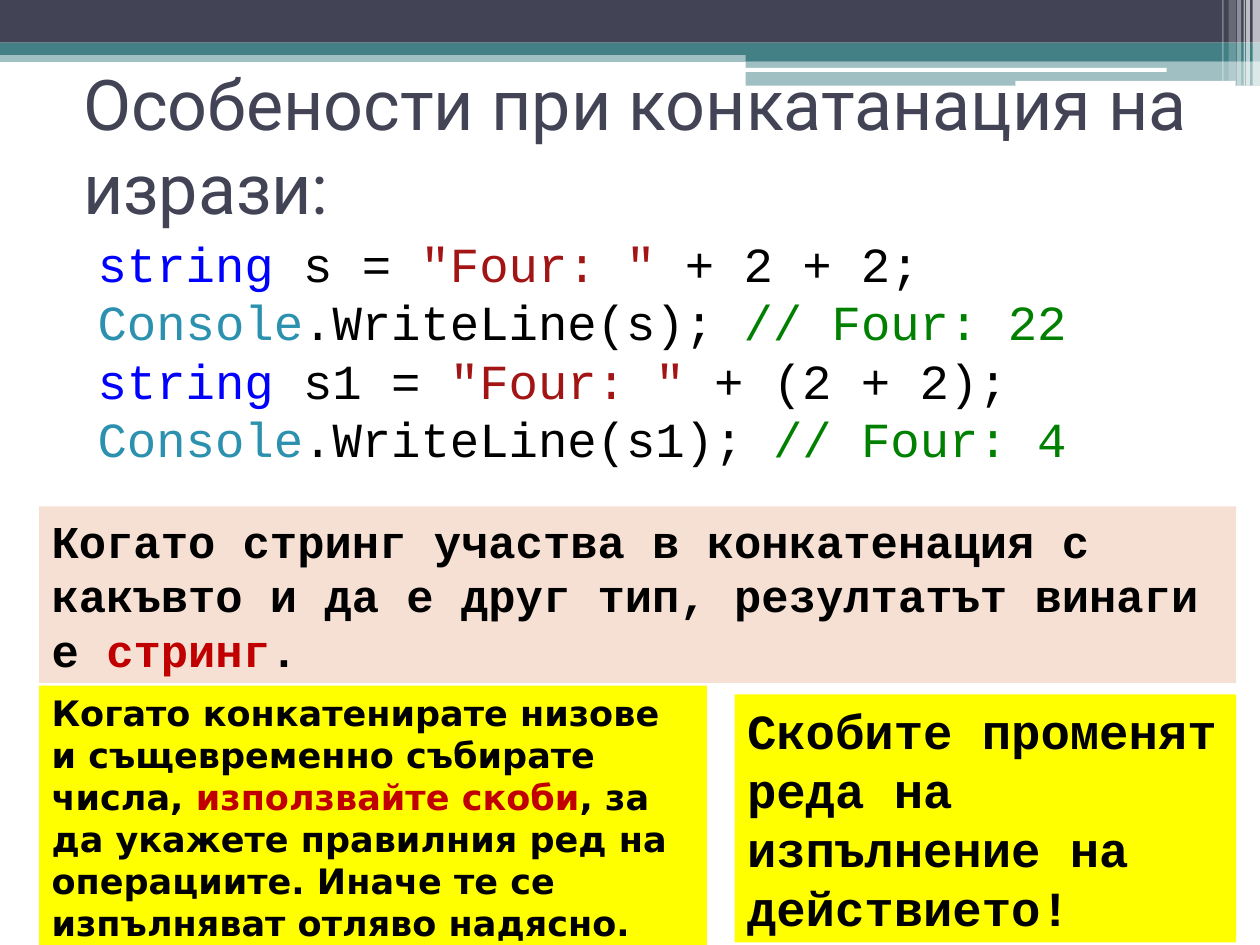
from lxml.etree import SubElement
from pptx import Presentation
from pptx.dml.color import RGBColor
from pptx.enum.shapes import MSO_SHAPE as Shape
from pptx.enum.text import MSO_ANCHOR as Anchor, MSO_AUTO_SIZE as AutoSize, PP_ALIGN as Align
from pptx.oxml.ns import qn
from pptx.util import Cm, Pt

COLORS = {
    "navy": "424456", "teal": "438086", "white": "FFFFFF", "black": "000000",
    "keyword": "0000FF", "literal": "A31515", "type": "2B91AF", "comment": "008000",
    "peach": "F5E0D3", "yellow": "FFFF00", "red": "C00000",
}
MONO = "Courier New"
TITLE_FONT = {"name": "Roboto", "size": Pt(40), "bold": False}
CODE_FONT = {"name": MONO, "size": Pt(28), "bold": False}
CODE_PARAGRAPH = {"alignment": Align.LEFT, "line_spacing": 0.9}
FRAME = {"word_wrap": True, "auto_size": AutoSize.NONE, "vertical_anchor": Anchor.TOP}

CODE = [
    [("string", "keyword"), (" s = ", "black"), ('"Four: "', "literal"), (" + 2 + 2;", "black")],
    [("Console", "type"), (".WriteLine(s); ", "black"), ("// Four: 22", "comment")],
    [("string", "keyword"), (" s1 = ", "black"), ('"Four: "', "literal"), (" + (2 + 2);", "black")],
    [("Console", "type"), (".WriteLine(s1); ", "black"), ("// Four: 4", "comment")],
]
NOTES = [
    ((0.79, 10.21, 24.13, 3.56), "peach", MONO, 26, [
        ("Когато стринг участва в конкатенация с какъвто и да е друг тип, резултатът винаги е ", "black"),
        ("стринг", "red"), (".", "black")]),
    ((14.81, 14, 10.11, 5), "yellow", MONO, 28, [
        ("Скобите променят реда на изпълнение на действието!", "black")]),
    ((0.79, 13.82, 13.46, 5.33), "yellow", "DejaVu Sans", 20, [
        ("Когато конкатенирате низове и същевременно събирате числа, ", "black"),
        ("използвайте скоби", "red"),
        (", за да укажете правилния ред на операциите. Иначе те се изпълняват отляво надясно.", "black")]),
]


def apply_format(target, values):
    for name, value in values.items():
        setattr(target, name, value)


def place(shape, box):
    apply_format(shape, dict(zip(("left", "top", "width", "height"), map(Cm, box))))


def write_runs(paragraph, runs, font):
    for text, color in runs:
        run = paragraph.add_run()
        run.text = text
        apply_format(run.font, font)
        run.font.color.rgb = RGBColor.from_string(COLORS[color])


def add_block(slide, box, color, opacity=100, kind=Shape.RECTANGLE):
    shape = slide.shapes.add_shape(kind, *map(Cm, box))
    shape.shadow.inherit = False
    shape.fill.solid()
    shape.fill.fore_color.rgb = RGBColor.from_string(COLORS[color])
    shape.line.fill.background()
    if opacity < 100:
        hex_color = shape.element.spPr.find(qn("a:solidFill")).find(qn("a:srgbClr"))
        SubElement(hex_color, qn("a:alpha")).set("val", str(opacity * 1000))
    return shape


def add_header(slide, box):
    left, top, width, height = box
    step_left = left + 15.03
    step_width = width - 15.03
    for x, y, w, h, color, opacity in (
        (left, 1.02, width, 0.23, "teal", 50),
        (left, 0, width, 0.86, "navy", 100),
        (left, 0.86, width, 0.25, "teal", 100),
        (step_left, 0.98, step_width, 0.25, "teal", 100),
        (step_left, 1.23, step_width, 0.5, "teal", 50),
    ):
        add_block(slide, (x, top + y, w, h), color, opacity)
    for x, y, w, h in ((15.01, 1.37, 8.51, 0.08), (20.47, 1.63, 4.44, 0.1)):
        add_block(slide, (left + x, top + y, w, h), "white", kind=Shape.ROUNDED_RECTANGLE)
    for x, w, h, opacity in (
        (25.25, 0.15, height, 65), (25.12, 0.08, height, 65),
        (25.07, 0.03, height, 60), (24.94, 0.08, height, 40),
        (24.77, 0.15, height - 0.1, 20), (24.64, 0.03, height - 0.1, 30),
    ):
        add_block(slide, (left + x, top, w, h), "white", opacity)


def add_title(slide, box, text):
    title = slide.shapes.title
    title.element.getparent().append(title.element)
    place(title, box)
    apply_format(title.text_frame, FRAME | {"vertical_anchor": Anchor.MIDDLE})
    paragraph = title.text_frame.paragraphs[0]
    paragraph.alignment = Align.LEFT
    write_runs(paragraph, [(text, "navy")], TITLE_FONT)


def add_code(slide, box, lines):
    frame = slide.shapes.add_textbox(*map(Cm, box)).text_frame
    apply_format(frame, FRAME)
    for index, runs in enumerate(lines):
        paragraph = frame.add_paragraph() if index else frame.paragraphs[0]
        apply_format(paragraph, CODE_PARAGRAPH | {"space_before": Pt(3 if index else 0)})
        properties = paragraph._p.get_or_add_pPr()
        properties.set("marL", str(Cm(0.3)))
        properties.set("indent", "0")
        write_runs(paragraph, runs, CODE_FONT)


def add_note(slide, box, fill, font_name, size, runs):
    frame = add_block(slide, box, fill).text_frame
    apply_format(frame, FRAME | {"auto_size": AutoSize.SHAPE_TO_FIT_TEXT})
    paragraph = frame.paragraphs[0]
    paragraph.alignment = Align.LEFT
    write_runs(paragraph, runs, {"name": font_name, "size": Pt(size), "bold": True})


def main():
    presentation = Presentation()
    apply_format(presentation, {"slide_width": Cm(25.4), "slide_height": Cm(19.05)})
    slide = presentation.slides.add_slide(presentation.slide_layouts[5])
    add_header(slide, (0, 0, 25.4, 1.73))
    add_title(slide, (1.42, 1.42, 22.86, 2.97), "Особености при конкатанация на изрази:")
    add_code(slide, (1.42, 4.72, 22.86, 5.31), CODE)
    for note in NOTES:
        add_note(slide, *note)
    presentation.save("out.pptx")


if __name__ == "__main__":
    main()
